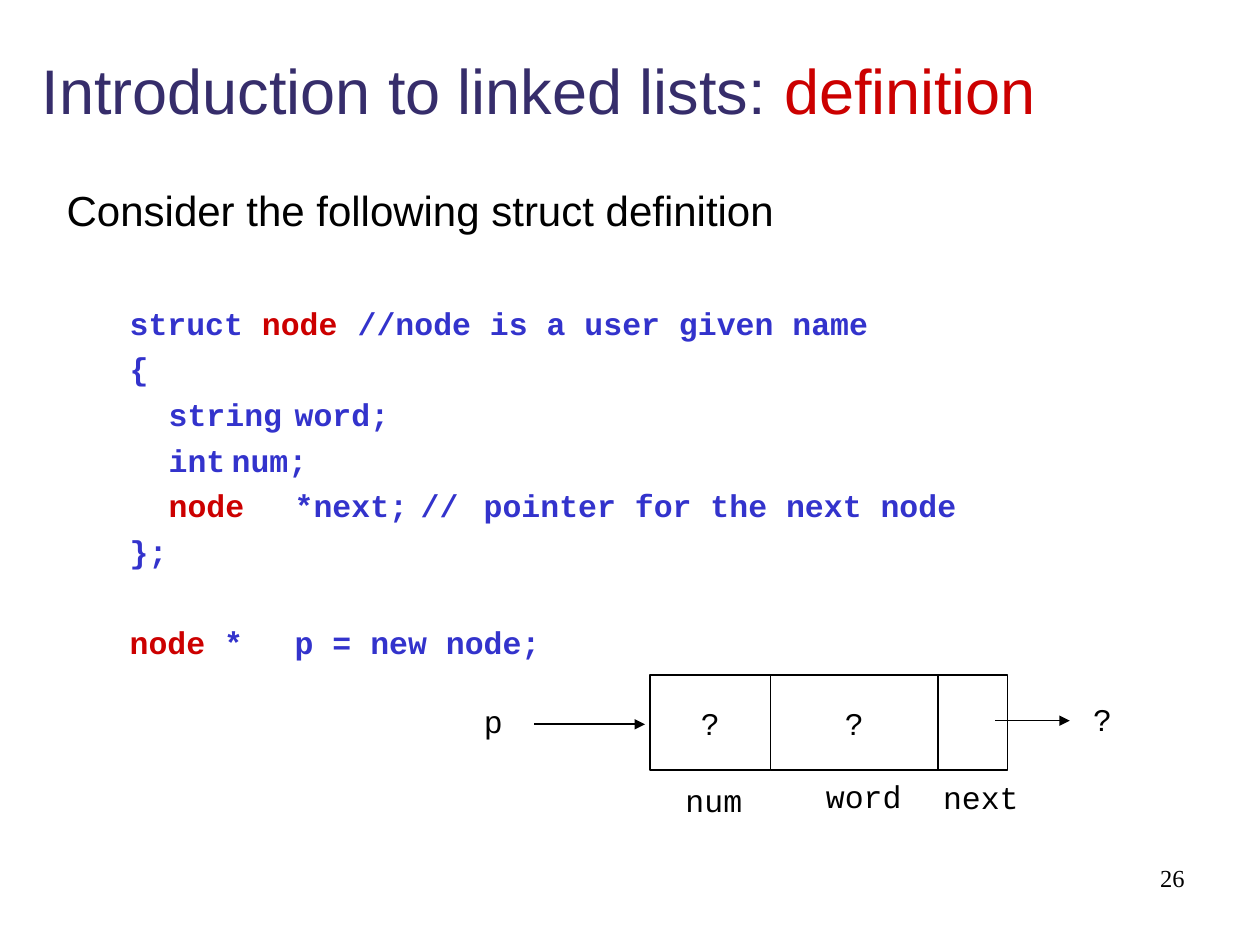
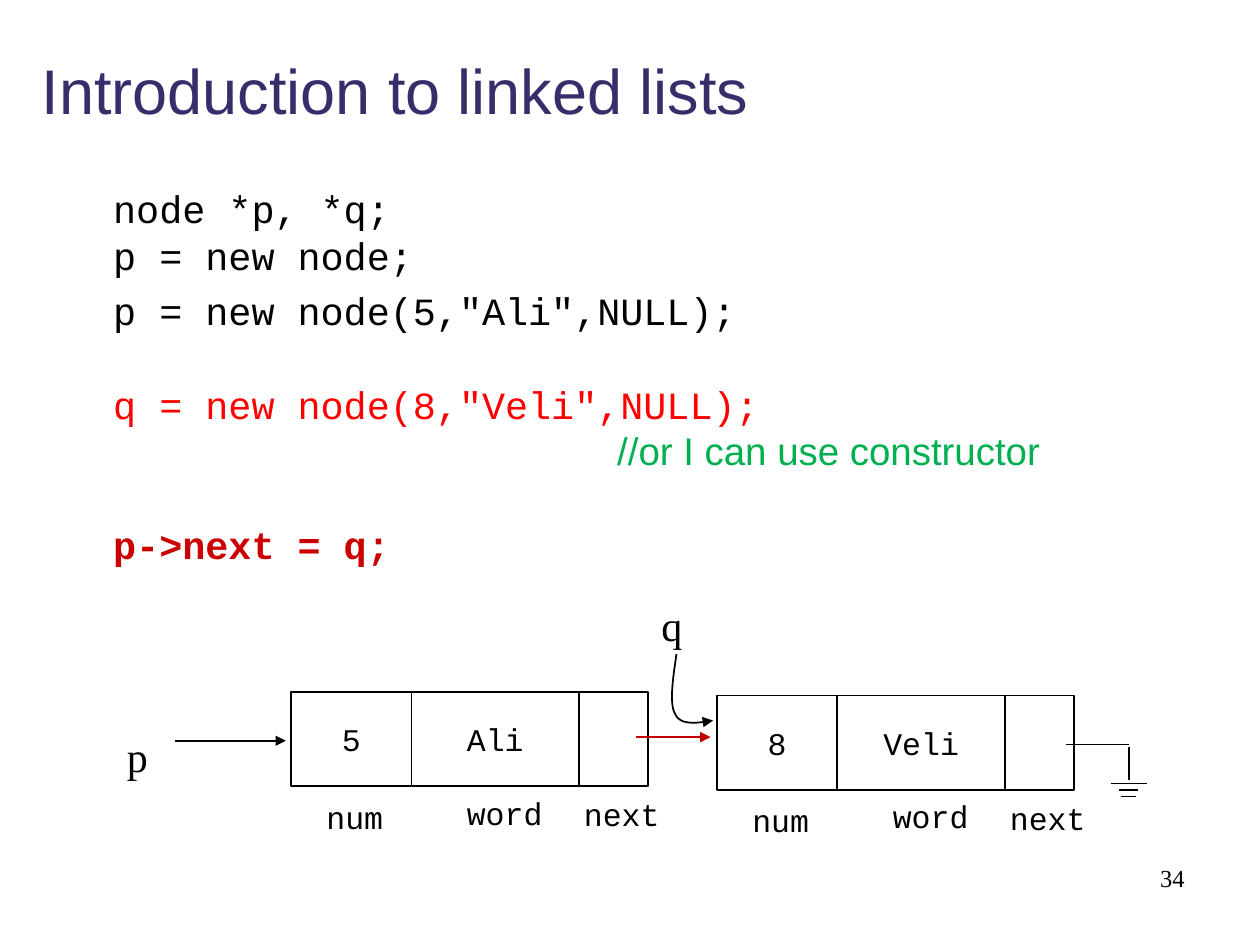
"""Builds two slides that introduce linked lists with code and node diagrams."""
from dataclasses import dataclass

from lxml import etree
from pptx import Presentation
from pptx.dml.color import RGBColor
from pptx.enum.shapes import MSO_CONNECTOR, MSO_SHAPE
from pptx.enum.text import MSO_ANCHOR, PP_ALIGN
from pptx.oxml.ns import qn
from pptx.util import Pt

STRAIGHT = MSO_CONNECTOR.STRAIGHT
RECTANGLE = MSO_SHAPE.RECTANGLE
TOP, MIDDLE = MSO_ANCHOR.TOP, MSO_ANCHOR.MIDDLE
LEFT, CENTER, RIGHT = PP_ALIGN.LEFT, PP_ALIGN.CENTER, PP_ALIGN.RIGHT


@dataclass(frozen=True)
class Theme:
    """Colours, fonts and type sizes of the deck."""
    black: str = "000000"
    white: str = "FFFFFF"
    title: str = "362D6B"
    code: str = "3333CC"
    accent: str = "CC0000"
    link: str = "C00000"
    added: str = "FF0000"
    comment: str = "00B050"
    sans: str = "Arial"
    mono: str = "Courier New"
    serif: str = "Times New Roman"
    title_size: int = 36
    lead_size: int = 24
    code_size: int = 22
    small_size: int = 18
    number_size: int = 14


THEME = Theme()

TITLE_BOX = (16.6, 12.2, 703.4, 77.8)
NUMBER_BOX = (534.2, 489.6, 149.8, 36)

LEAD = "Consider the following struct definition"
STRUCT_BOX = (31, 102.2, 664.6, 384.5)
STRUCT_CODE = [
    {"runs": [("struct ", THEME.code), ("node", THEME.accent),
              ("\t//node is a user given name", THEME.code)],
     "before": 39, "tabs": [165.6]},
    {"runs": [("{", THEME.code)]},
    {"runs": [("string\tword;", THEME.code)], "hang": 0, "tabs": [144]},
    {"runs": [("int\tnum;", THEME.code)], "hang": 0, "tabs": [72]},
    {"runs": [("node", THEME.accent),
              ("\t*next;\t//\tpointer for the next node", THEME.code)],
     "hang": 0, "tabs": [72, 158.8, 202]},
    {"runs": [("};", THEME.code)]},
    {"runs": [("node", THEME.accent), (" *\tp = new node;", THEME.code)],
     "before": 30.5, "tabs": [64]},
]

LINK_BOX = (27.4, 107.3, 671, 298.8)
LINK_CODE = [
    {"text": "node *p, *q;"},
    {"text": "p = new node;"},
    {"text": 'p = new node(5,"Ali",NULL);', "spacing": 1.0},
    {"text": 'q = new node(8,"Veli",NULL);', "color": THEME.added, "before": 32.3},
    {"text": "//or I can use constructor", "color": THEME.comment,
     "font": THEME.sans, "margin": 318.2},
    {"text": "p->next = q;", "color": THEME.accent, "bold": True, "before": 32.3},
]

FIELD_WIDTHS = (68.8, 95.8, 39.6)
FIELD_HEIGHT = 54
FIELD_LABELS = [("num", 10.1, 56.9, 52.6), ("word", 78.5, 54.7, 87.1),
                ("next", 156.2, 55.4, 65.5)]
POINTER_IN = (-66.2, -2.9, 28)
POINTER_OUT = (197.3, 239.8, 25.9)

UNSET_NODE = (371.5, 385.9)
ALI_NODE = (166.3, 395.3)
VELI_NODE = (409.7, 397.4)

Q_CURVE = [[(386.6, 373.7), (384.5, 388.1), (382.3, 402.5), (385.9, 408.2)],
           [(385.9, 408.2), (388.8, 414.7), (398.2, 413.3), (407.5, 411.8)]]
CURVE_STEPS = 12

GROUND_X, GROUND_TOP, GROUND_FOOT = 645.1, 425.5, 445.7
GROUND_START = 609.1
GROUND_BARS = [(447.8, 20.2), (451.4, 10.8), (455.2, 8.6)]


def rgb(color):
    """Turn a hex colour into an RGBColor."""
    return RGBColor.from_string(color)


def points(values):
    """Turn numbers into lengths in points."""
    return [Pt(value) for value in values]


def write(paragraph, text, color=THEME.black, font=THEME.mono,
          size=THEME.small_size, bold=False, align=LEFT, before=0,
          spacing=1.0, margin=0, hang=0, tabs=()):
    """Write text, or a list of (text, colour) runs, into a paragraph."""
    paragraph.alignment = align
    paragraph.space_before = Pt(before)
    paragraph.line_spacing = spacing
    runs = [(text, color)] if isinstance(text, str) else text
    for words, run_color in runs:
        run = paragraph.add_run()
        run.text = words
        run.font.name = font
        run.font.size = Pt(size)
        run.font.bold = bold
        run.font.color.rgb = rgb(run_color)
    properties = paragraph._p.get_or_add_pPr()
    properties.set("marL", str(Pt(margin)))
    properties.set("indent", str(Pt(-hang)))
    if tabs:
        stops = etree.SubElement(properties, qn("a:tabLst"))
        for position in tabs:
            etree.SubElement(stops, qn("a:tab"), pos=str(Pt(position)), algn="l")


def add_text_box(slide, box, anchor=TOP, wrap=True):
    """Add an empty text box and return its text frame."""
    frame = slide.shapes.add_textbox(*points(box)).text_frame
    frame.word_wrap = wrap
    frame.vertical_anchor = anchor
    return frame


def add_label(slide, text, box, anchor=TOP, wrap=True, **style):
    """Add a centred one-line label."""
    frame = add_text_box(slide, box, anchor, wrap)
    write(frame.paragraphs[0], text, **{"align": CENTER, **style})


def add_slide(deck, title, number):
    """Add a slide with its title and page number."""
    slide = deck.slides.add_slide(deck.slide_layouts[5])
    heading = slide.shapes.title
    heading.left, heading.top, heading.width, heading.height = points(TITLE_BOX)
    heading.text_frame.vertical_anchor = MIDDLE
    write(heading.text_frame.paragraphs[0], title, color=THEME.title,
          font=THEME.sans, size=THEME.title_size)
    add_label(slide, str(number), NUMBER_BOX, align=RIGHT, font=THEME.serif,
              size=THEME.number_size)
    return slide


def style_line(stroke, color=THEME.black, arrow=True):
    """Colour a connector or outline and give its end an arrowhead."""
    stroke.line.color.rgb = rgb(color)
    stroke.line.width = Pt(1)
    if arrow:
        etree.SubElement(stroke.line._get_or_add_ln(), qn("a:tailEnd"), type="triangle")


def add_line(slide, start, end, **style):
    """Draw a straight line without a shadow."""
    line = slide.shapes.add_connector(STRAIGHT, *points(start + end))
    style_line(line, **style)
    etree.SubElement(line._element.spPr, qn("a:effectLst"))


def add_node(slide, origin, num, word):
    """Draw a node as three fields with their names below."""
    left, top = origin
    field_left = left
    for value, width in zip((num, word, ""), FIELD_WIDTHS):
        field = slide.shapes.add_shape(
            RECTANGLE, *points((field_left, top, width, FIELD_HEIGHT)))
        field.shadow.inherit = False
        field.fill.solid()
        field.fill.fore_color.rgb = rgb(THEME.white)
        style_line(field, arrow=False)
        if value:
            field.text_frame.word_wrap = False
            field.text_frame.vertical_anchor = MIDDLE
            write(field.text_frame.paragraphs[0], value, align=CENTER)
        field_left += width
    for name, dx, dy, width in FIELD_LABELS:
        add_label(slide, name, (left + dx, top + dy, width, 28.8))


def add_pointer(slide, origin, pointer, **style):
    """Draw an arrow placed relative to a node."""
    left, top = origin
    start, end, dy = pointer
    add_line(slide, (left + start, top + dy), (left + end, top + dy), **style)


def bezier(controls, t):
    """Return the point at t on a cubic curve."""
    weights = ((1 - t) ** 3, 3 * t * (1 - t) ** 2, 3 * t ** 2 * (1 - t), t ** 3)
    return tuple(sum(w * c[axis] for w, c in zip(weights, controls)) for axis in (0, 1))


def add_curve(slide, segments):
    """Draw an open curve that ends in an arrowhead."""
    track = [points(bezier(segment, step / CURVE_STEPS))
             for segment in segments for step in range(1, CURVE_STEPS + 1)]
    builder = slide.shapes.build_freeform(*points(segments[0][0]))
    builder.add_line_segments(track, close=False)
    curve = builder.convert_to_shape()
    curve.shadow.inherit = False
    curve.fill.background()
    style_line(curve)


def add_ground(slide):
    """Draw the ground symbol that stands for NULL."""
    add_line(slide, (GROUND_START, GROUND_TOP), (GROUND_X, GROUND_TOP), arrow=False)
    add_line(slide, (GROUND_X, GROUND_TOP + 1.5), (GROUND_X, GROUND_FOOT), arrow=False)
    for y, width in GROUND_BARS:
        add_line(slide, (GROUND_X - width / 2, y), (GROUND_X + width / 2, y), arrow=False)


def build_definition(deck):
    """Build the slide on the struct definition."""
    slide = add_slide(deck, [("Introduction to linked lists: ", THEME.title),
                             ("definition", THEME.accent)], 26)
    frame = add_text_box(slide, STRUCT_BOX)
    write(frame.paragraphs[0], LEAD, font=THEME.sans, size=THEME.lead_size)
    for line in STRUCT_CODE:
        style = {"before": 4.5, "margin": 58.3, "hang": 22.3, "bold": True, **line}
        write(frame.add_paragraph(), style.pop("runs"), **style)
    add_node(slide, UNSET_NODE, "?", "?")
    add_label(slide, "p", (259.2, 388.8, 45.4, 46.1), anchor=MIDDLE, wrap=False)
    add_pointer(slide, UNSET_NODE, POINTER_IN)
    add_pointer(slide, UNSET_NODE, POINTER_OUT)
    add_label(slide, "?", (615.6, 396.7, 28.8, 28.8))


def build_linking(deck):
    """Build the slide that links two nodes."""
    slide = add_slide(deck, "Introduction to linked lists", 34)
    frame = add_text_box(slide, LINK_BOX)
    for index, line in enumerate(LINK_CODE):
        paragraph = frame.add_paragraph() if index else frame.paragraphs[0]
        write(paragraph, **{"size": THEME.code_size, "before": 5.5,
                            "spacing": 0.8, "margin": 30.2, **line})
    add_node(slide, ALI_NODE, "5", "Ali")
    add_node(slide, VELI_NODE, "8", "Veli")
    add_pointer(slide, ALI_NODE, POINTER_IN)
    add_pointer(slide, ALI_NODE, POINTER_OUT, color=THEME.link)
    add_curve(slide, Q_CURVE)
    add_ground(slide)
    for name, left, top in (("p", 65.5, 414), ("q", 370.8, 339.1)):
        add_label(slide, name, (left, top, 25.9, 36), wrap=False,
                  font=THEME.serif, size=THEME.lead_size)


def main():
    """Build and save the deck."""
    deck = Presentation()
    deck.slide_width, deck.slide_height = Pt(720), Pt(540)
    build_definition(deck)
    build_linking(deck)
    deck.save("out.pptx")


if __name__ == "__main__":
    main()
